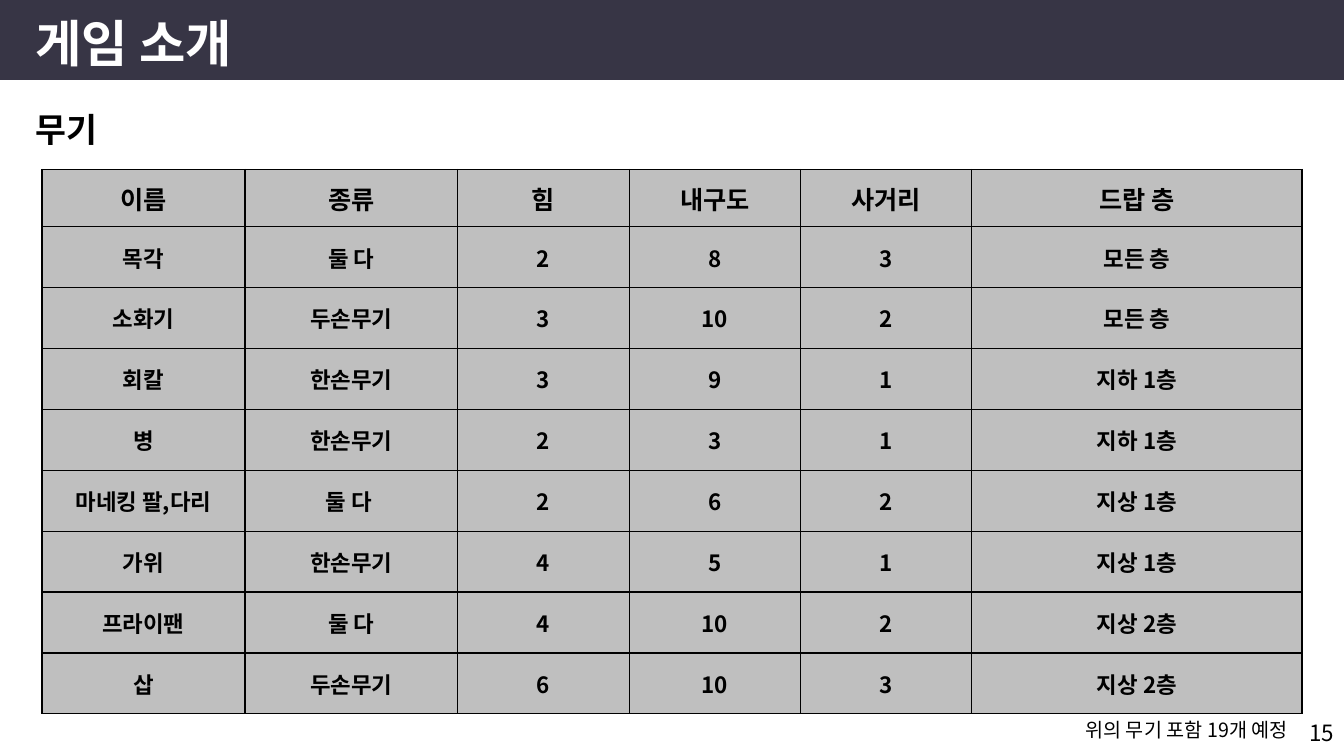
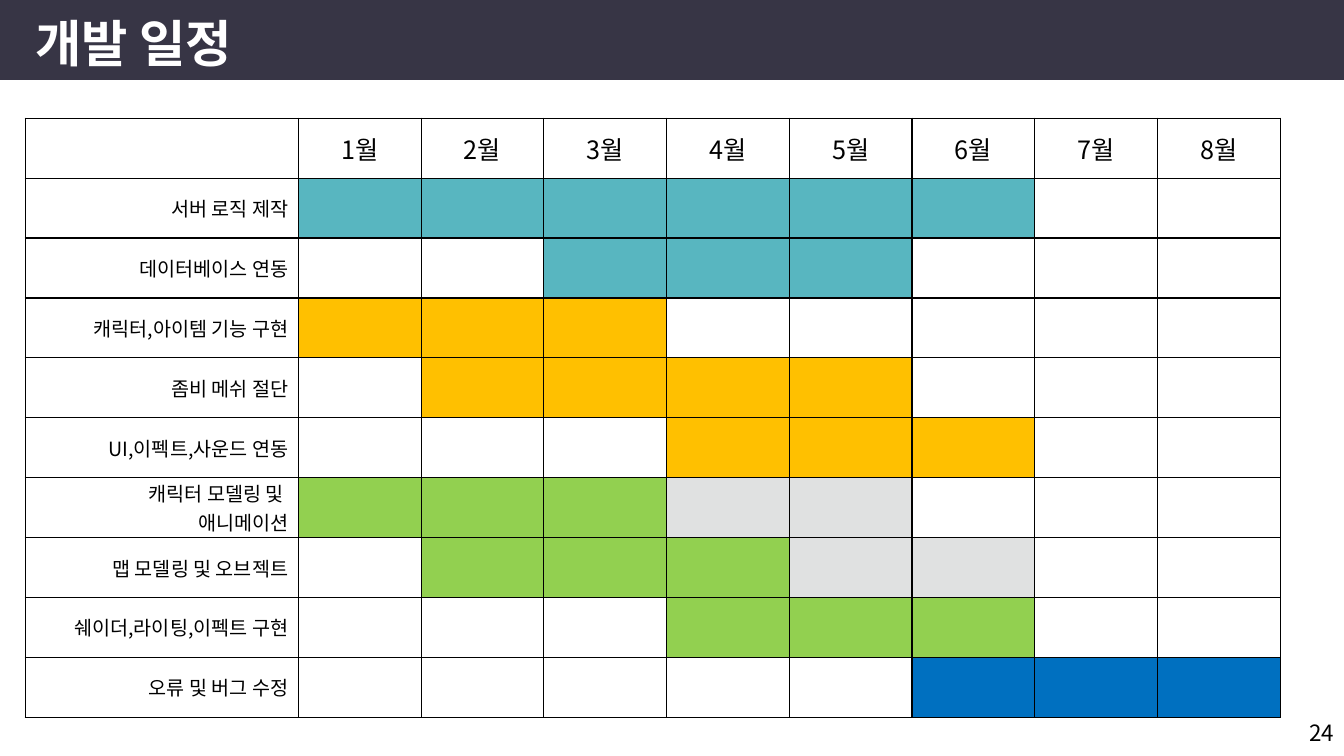
from dataclasses import dataclass

from lxml.etree import SubElement as Sub
from pptx import Presentation
from pptx.dml.color import RGBColor as Rgb
from pptx.enum.shapes import MSO_SHAPE as Form
from pptx.enum.text import MSO_ANCHOR as Anchor, MSO_AUTO_SIZE as Fit, PP_ALIGN as Align
from pptx.oxml import parse_xml as read
from pptx.oxml.ns import nsdecls as names, qn
from pptx.util import Pt


@dataclass(frozen=True)
class Theme:
    """Colours, fonts and type sizes shared by all slides."""
    dark: str = "373545"
    white: str = "FFFFFF"
    black: str = "000000"
    gray: str = "BFBFBF"
    pale: str = "E0E1E1"
    teal: str = "58B6C0"
    gold: str = "FFC000"
    green: str = "92D050"
    blue: str = "0070C0"
    head: str = "Arial"
    face: str = "Noto Sans CJK KR"
    title: int = 36
    sub: int = 24
    top: int = 18
    body: int = 16
    note: int = 14


T = Theme()
WIDE, HIGH, BAND = 960, 540, 57

ARMS = [
    ("이름", "종류", "힘", "내구도", "사거리", "드랍 층"),
    ("목각", "둘 다", "2", "8", "3", "모든 층"),
    ("소화기", "두손무기", "3", "10", "2", "모든 층"),
    ("회칼", "한손무기", "3", "9", "1", "지하 1층"),
    ("병", "한손무기", "2", "3", "1", "지하 1층"),
    ("마네킹 팔,다리", "둘 다 ", "2", "6", "2", "지상 1층"),
    ("가위", "한손무기", "4", "5", "1", "지상 1층"),
    ("프라이팬", "둘 다", "4", "10", "2", "지상 2층"),
    ("삽", "두손무기", "6", "10", "3", "지상 2층"),
]

TASKS = [
    ("서버 로직 제작", [(1, 6, T.teal)]),
    ("데이터베이스 연동", [(3, 5, T.teal)]),
    ("캐릭터,아이템 기능 구현", [(1, 3, T.gold)]),
    ("좀비 메쉬 절단", [(2, 5, T.gold)]),
    ("UI,이펙트,사운드 연동", [(4, 6, T.gold)]),
    ("캐릭터 모델링 및 \n애니메이션", [(1, 3, T.green), (4, 5, T.pale)]),
    ("맵 모델링 및 오브젝트", [(2, 4, T.green), (5, 6, T.pale)]),
    ("쉐이더,라이팅,이펙트 구현", [(4, 6, T.green)]),
    ("오류 및 버그 수정", [(6, 8, T.blue)]),
]


def put(frame, text, size=T.body, bold=False, color=T.black, face=T.face, align=Align.LEFT):
    """Write text into a frame, one paragraph for each line."""
    for k, line in enumerate(text.split("\n")):
        para = frame.add_paragraph() if k else frame.paragraphs[0]
        para.alignment = align
        run = para.add_run()
        run.text = line
        font = run.font
        font.size, font.bold, font.name = Pt(size), bold, face
        font.color.rgb = Rgb.from_string(color)
        Sub(font._element, qn("a:ea")).set("typeface", T.face)


def label(slide, box, text, anchor=Anchor.TOP, **form):
    """Add a wrapped text box."""
    frame = slide.shapes.add_textbox(*map(Pt, box)).text_frame
    frame.word_wrap = True
    frame.vertical_anchor = anchor
    put(frame, text, **form)


def paint(cell, color=None):
    """Fill a cell and draw its four borders."""
    if color:
        cell.fill.solid()
        cell.fill.fore_color.rgb = Rgb.from_string(color)
    else:
        cell.fill.background()
    props = cell._tc.get_or_add_tcPr()
    for k, side in enumerate("LRTB"):
        props.insert(k, read(
            f'<a:ln{side} {names("a")} w="{Pt(1)}"><a:solidFill>'
            f'<a:srgbClr val="{T.black}"/></a:solidFill></a:ln{side}>'))


def grid(slide, box, cols, rows):
    """Add a plain table whose last column and row end at the box edge."""
    cols, rows = ([*part, full - sum(part)] for part, full in zip((cols, rows), box[2:]))
    table = slide.shapes.add_table(len(rows), len(cols), *map(Pt, box)).table
    table.first_row = table.horz_banding = False
    for col, size in zip(table.columns, cols):
        col.width = Pt(size)
    for row, size in zip(table.rows, rows):
        row.height = Pt(size)
    for cell in table.iter_cells():
        cell.vertical_anchor = Anchor.MIDDLE
        cell.margin_top = cell.margin_bottom = 0
    return table


def base(deck, text, page):
    """Add a slide with its band, title and page number."""
    slide = deck.slides.add_slide(deck.slide_layouts[5])
    band = slide.shapes.add_shape(Form.RECTANGLE, 0, 0, Pt(WIDE), Pt(BAND))
    band.shadow.inherit = False
    band.fill.solid()
    band.fill.fore_color.rgb = Rgb.from_string(T.dark)
    band.line.fill.background()
    title = slide.shapes.title
    title._element.addprevious(band._element)
    title.left, title.top, title.width, title.height = map(Pt, (18, 4.5, 170, 51))
    frame = title.text_frame
    frame.word_wrap, frame.auto_size = False, Fit.NONE
    frame.vertical_anchor = Anchor.MIDDLE
    put(frame, text, size=T.title, bold=True, color=T.white, face=T.head)
    label(slide, (WIDE - 216, 509, 216, 29), page, anchor=Anchor.MIDDLE, align=Align.RIGHT)
    return slide


def arms(slide, box):
    """Place the weapon table with its heading above and note below."""
    left, top, wide, high = box
    label(slide, (18, top - 47, 403, 36), "무기", size=T.sub, bold=True)
    table = grid(slide, box, [145, 152] + [122.4] * 3, [41] + [43.5] * 7)
    for r, row in enumerate(ARMS):
        for c, text in enumerate(row):
            cell = table.cell(r, c)
            paint(cell, T.gray)
            put(cell.text_frame, text, size=T.body if r else T.top, bold=True, align=Align.CENTER)
    label(slide, (left + wide - 289, top + high - 1, 289, 25), "위의 무기 포함 19개 예정 ",
          size=T.note, align=Align.RIGHT)


def plan(slide, box):
    """Place the schedule with one coloured span for each phase."""
    first, months = 195.2, 8
    step, rise = (box[2] - first) / months, box[3] / (len(TASKS) + 1)
    table = grid(slide, box, [first] + [step] * (months - 1), [rise] * len(TASKS))
    for m in range(1, months + 1):
        put(table.cell(0, m).text_frame, f"{m}월", size=T.top, align=Align.CENTER)
    for r, (text, _) in enumerate(TASKS, 1):
        put(table.cell(r, 0).text_frame, text, size=T.note, align=Align.RIGHT)
    fills = {(r, m): color for r, (_, spans) in enumerate(TASKS, 1)
             for start, end, color in spans for m in range(start, end + 1)}
    for r in range(len(TASKS) + 1):
        for m in range(months + 1):
            paint(table.cell(r, m), fills.get((r, m)))


def main():
    """Build and save the deck."""
    deck = Presentation()
    deck.slide_width, deck.slide_height = Pt(WIDE), Pt(HIGH)
    arms(base(deck, "게임 소개", "15"), (30, 121, 900, 389))
    plan(base(deck, "개발 일정", "24"), (18, 84.5, 896.4, 428))
    deck.save("out.pptx")


if __name__ == "__main__":
    main()
